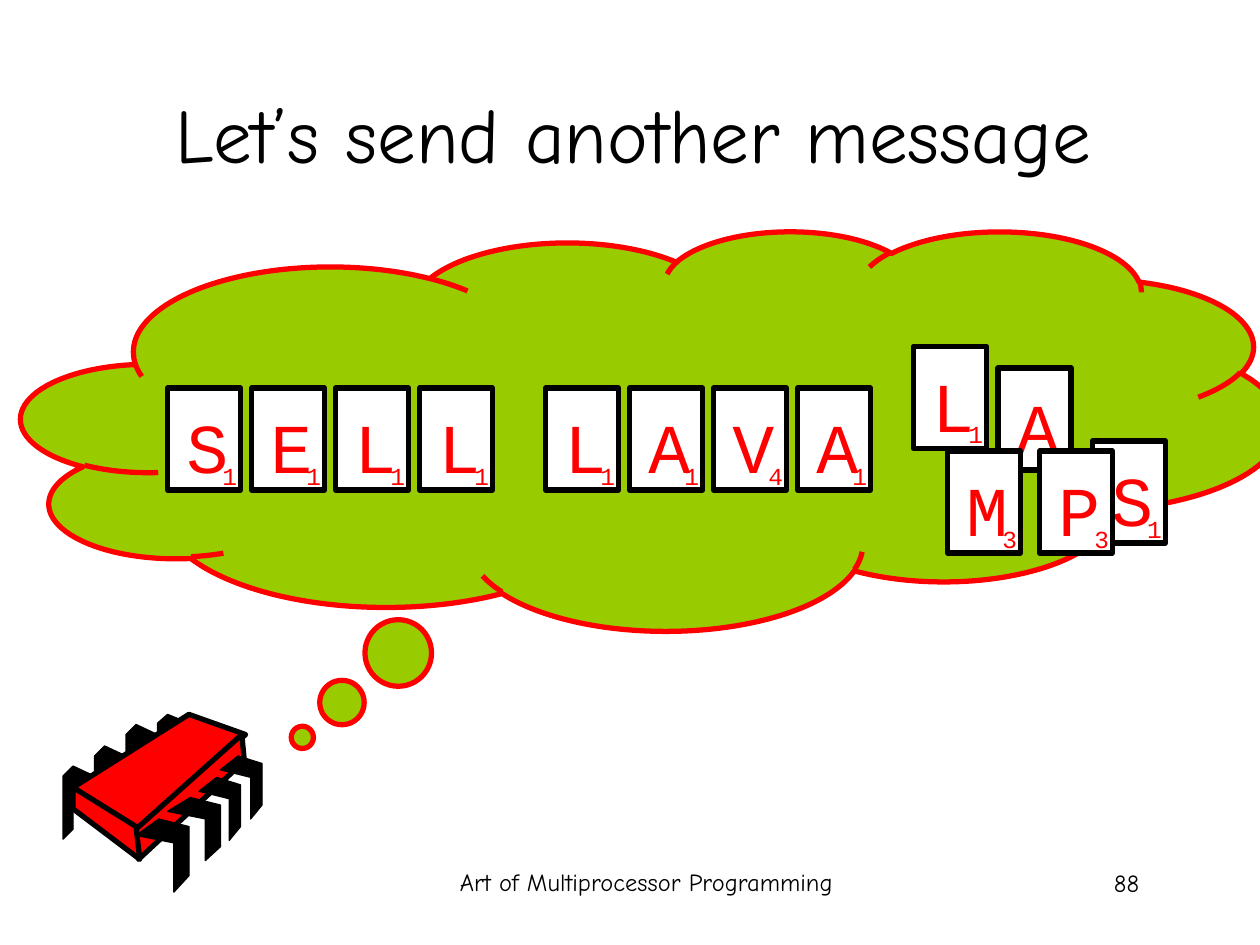
from pptx import Presentation
from pptx.dml.color import RGBColor
from pptx.enum.shapes import MSO_SHAPE as Shape
from pptx.enum.text import MSO_ANCHOR as Anchor, PP_ALIGN as Align
from pptx.util import Inches, Pt

BLACK, WHITE, RED, GREEN = "000000", "FFFFFF", "FF0000", "99CC00"


def write(shape, text, size, font, color, align, **frame_format):
    frame = shape.text_frame
    for key, value in ({"word_wrap": True} | frame_format).items():
        setattr(frame, key, value)
    paragraph = frame.paragraphs[0]
    paragraph.alignment = align
    run = paragraph.add_run()
    run.text = text
    for key, value in {"size": Pt(size), "name": font, "bold": False}.items():
        setattr(run.font, key, value)
    run.font.color.rgb = RGBColor.from_string(color)


def paint(shape, fill, line, width):
    shape.shadow.inherit = False
    shape.fill.solid()
    shape.fill.fore_color.rgb = RGBColor.from_string(fill)
    shape.line.color.rgb = RGBColor.from_string(line)
    shape.line.width = Pt(width)


prs = Presentation()
prs.slide_width, prs.slide_height = Inches(10), Inches(7.5)
slide = prs.slides.add_slide(prs.slide_layouts[5])
shapes = slide.shapes

# Title, footer and page number
title = shapes.title
title.left, title.top = Inches(0.78), Inches(0.43)
title.width, title.height = Inches(8.5), Inches(1.25)
write(title, "Let’s send another message", 44, "Comic Neue", BLACK, Align.CENTER,
      vertical_anchor=Anchor.MIDDLE)
for text, left, top, width, align in [
    ("Art of Multiprocessor Programming", 3.42, 6.83, 3.42, Align.CENTER),
    ("88", 7.06, 6.84, 2.08, Align.RIGHT),
]:
    label = shapes.add_textbox(Inches(left), Inches(top), Inches(width), Inches(0.5))
    write(label, text, 14, "Comic Neue", BLACK, align)

# Thought cloud
cloud = shapes.add_shape(Shape.CLOUD_CALLOUT, Inches(0.17), Inches(1.83),
                         Inches(10), Inches(3.17))
cloud.adjustments[0], cloud.adjustments[1] = -0.277, 0.769
paint(cloud, GREEN, RED, 3)

# Processor chip, measured in hundredths of an inch
BACK_LEG = [(1, 1/7), (1/3, 0), (0, 1/7), (0, 1), (1/3, 6/7), (1/3, 2/7), (1, 3/7)]
FRONT_LEG = [(3/7, 0), (0, 2/9), (5/7, 3/9), (5/7, 1), (1, 7/9), (1, 1/9)]
back_legs = [(50, 608, 25, 58), (75, 592, 25, 58), (100, 575, 25, 58), (125, 567, 25, 50)]
front_legs = [(108, 650, 42, 58), (133, 633, 42, 50), (158, 617, 33, 50), (175, 600, 33, 50)]
body_faces = [
    [(150, 567), (58, 625), (110, 660), (195, 583)],
    [(192, 583), (108, 658), (110, 682), (194, 604)],
    [(58, 625), (58, 642), (111, 682), (108, 656)],
]
back_outlines, front_outlines = [
    [[(x + w * u, y + h * v) for u, v in leg] for x, y, w, h in boxes]
    for leg, boxes in [(BACK_LEG, back_legs), (FRONT_LEG, front_legs)]
]
chip = shapes.add_group_shape()
for outlines, fill, line_width in [(back_outlines, BLACK, 0.75),
                                   (body_faces, RED, 3),
                                   (front_outlines, BLACK, 0.75)]:
    for points in outlines:
        builder = chip.shapes.build_freeform(*points[0], scale=Inches(0.01))
        builder.add_line_segments(points[1:], close=True)
        paint(builder.convert_to_shape(), fill, BLACK, line_width)

# Letter tiles: the loose S lies under the others
STEP = 2 / 3
tiles = [("S", 8.67, 3.5)]
for word, word_left in [("SELL", 1.33), ("LAVA", 4.33)]:
    tiles += [(letter, word_left + i * STEP, 3.08) for i, letter in enumerate(word)]
tiles += [("L", 7.25, 2.75), ("A", 7.92, 2.92), ("M", 7.52, 3.58), ("P", 8.25, 3.58)]
scores = {"V": "4", "M": "3", "P": "3"}
low = {"vertical_anchor": Anchor.BOTTOM, "margin_top": 0, "margin_bottom": Inches(0.02)}

for letter, left, top in tiles:
    tile = shapes.add_group_shape().shapes
    card = tile.add_shape(Shape.RECTANGLE, Inches(left), Inches(top),
                          Inches(0.58), Inches(0.81))
    paint(card, WHITE, BLACK, 3)
    write(card, letter, 40, "Courier New", RED, Align.RIGHT, **low)
    score = tile.add_textbox(Inches(left + 0.33), Inches(top + 0.5),
                             Inches(0.32), Inches(0.33))
    write(score, scores.get(letter, "1"), 14, "Courier New", RED, Align.RIGHT,
          **low | {"word_wrap": False})

prs.save("out.pptx")
